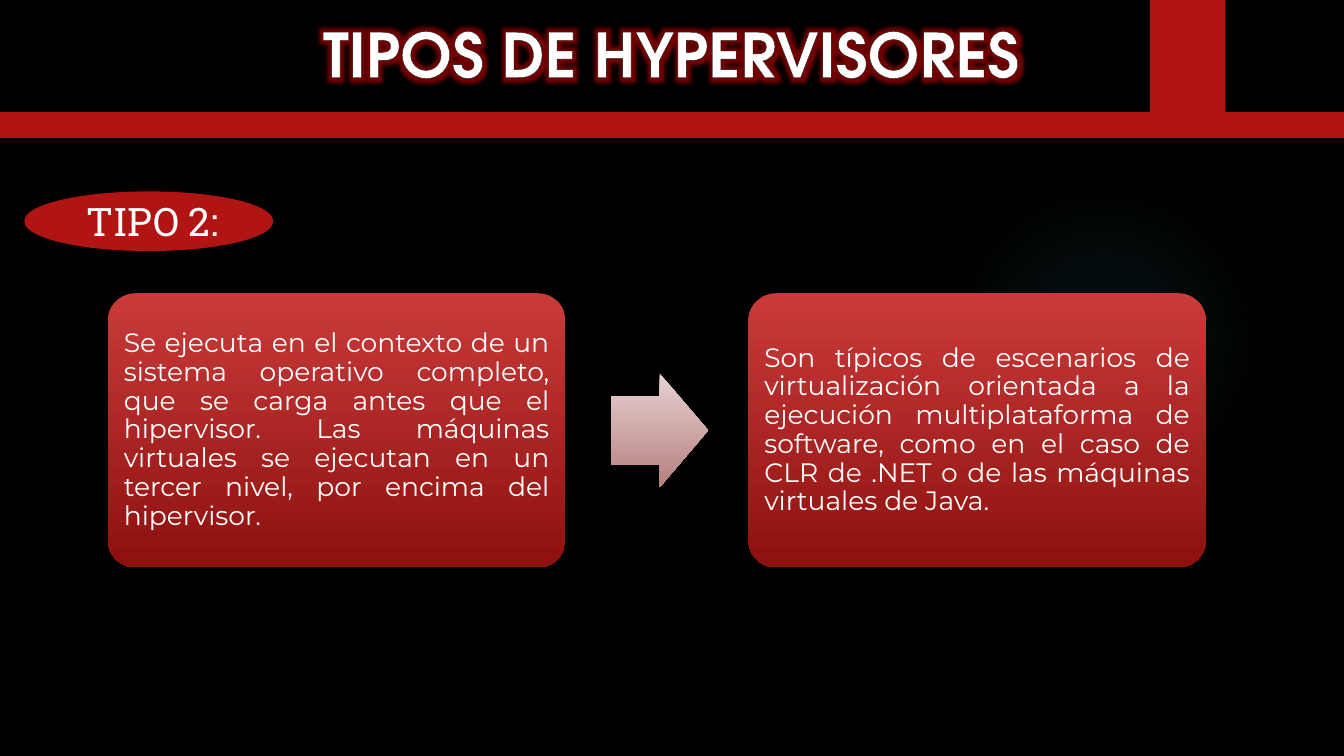
from lxml import etree
from pptx import Presentation
from pptx.dml.color import RGBColor
from pptx.enum.shapes import MSO_SHAPE
from pptx.enum.text import MSO_ANCHOR, MSO_AUTO_SIZE, PP_ALIGN
from pptx.oxml import parse_xml
from pptx.oxml.ns import nsdecls, qn
from pptx.util import Cm, Pt

RECTANGLE, ELLIPSE = MSO_SHAPE.RECTANGLE, MSO_SHAPE.OVAL
CARD, ARROW = MSO_SHAPE.ROUNDED_RECTANGLE, MSO_SHAPE.RIGHT_ARROW
CENTER, JUSTIFY = PP_ALIGN.CENTER, PP_ALIGN.JUSTIFY
TOP, MIDDLE = MSO_ANCHOR.TOP, MSO_ANCHOR.MIDDLE
NO_AUTOFIT = MSO_AUTO_SIZE.NONE

BLACK = RGBColor(0x00, 0x00, 0x00)
WHITE = RGBColor(0xFF, 0xFF, 0xFF)
RED = RGBColor(0xB0, 0x15, 0x13)
OUTLINE = RGBColor(0x15, 0x15, 0x15)
GLOW = RGBColor(0xC0, 0x00, 0x00)
HALO = RGBColor(0x50, 0xB9, 0xC1)
CARD_TOP, CARD_BOTTOM = RGBColor(0xC9, 0x3B, 0x3A), RGBColor(0x8D, 0x11, 0x0F)
ARROW_TOP, ARROW_BOTTOM = RGBColor(0xE8, 0xD2, 0xD1), RGBColor(0xB5, 0x7F, 0x7F)

CARD_TEXTS = [
    "Se ejecuta en el contexto de un sistema operativo completo, que se carga "
    "antes que el hipervisor. Las máquinas virtuales se ejecutan en un tercer "
    "nivel, por encima del hipervisor.",
    "Son típicos de escenarios de virtualización orientada a la ejecución "
    "multiplataforma de software, como en el caso de CLR de .NET o de las "
    "máquinas virtuales de Java.",
]


def add_plain_shape(slide, kind, left, top, width, height, color=RED):
    """Add a flat shape without line or shadow; lengths are in centimetres."""
    shape = slide.shapes.add_shape(kind, Cm(left), Cm(top), Cm(width), Cm(height))
    shape.shadow.inherit = False
    shape.fill.solid()
    shape.fill.fore_color.rgb = color
    shape.line.fill.background()
    return shape


def fill_downwards(shape, top_color, bottom_color):
    """Fill a shape with a gradient that runs from top to bottom."""
    shape.fill.gradient()
    shape.fill.gradient_angle = 270
    for stop, position, color in zip(
        shape.fill.gradient_stops, (0, 1), (top_color, bottom_color)
    ):
        stop.position = position
        stop.color.rgb = color


def fill_halo(shape, color, stops):
    """Fill a shape with a radial gradient of (position, opacity) percentages."""
    shape.fill.gradient()
    gradient = shape.element.spPr.find(qn("a:gradFill"))
    for child in list(gradient):
        gradient.remove(child)
    stop_list = etree.SubElement(gradient, qn("a:gsLst"))
    for position, opacity in stops:
        stop = etree.SubElement(stop_list, qn("a:gs"), pos=str(position * 1000))
        tint = etree.SubElement(stop, qn("a:srgbClr"), val=str(color))
        etree.SubElement(tint, qn("a:alpha"), val=str(opacity * 1000))
    circle = etree.SubElement(gradient, qn("a:path"), path="circle")
    sides = dict.fromkeys("ltrb", "50000")
    etree.SubElement(circle, qn("a:fillToRect"), **sides)


def format_text(paragraph, font_name, size, alignment):
    """Set the white font and the alignment of a paragraph."""
    paragraph.alignment = alignment
    paragraph.font.name = font_name
    paragraph.font.size = Pt(size)
    paragraph.font.color.rgb = WHITE


def add_backdrop(slide, width):
    """Paint the black background, the halo, the tab and the band."""
    slide.background.fill.solid()
    slide.background.fill.fore_color.rgb = BLACK
    halo = add_plain_shape(slide, ELLIPSE, 23.9, 4.65, 7.82, 7.82)
    fill_halo(halo, HALO, [(0, 7), (36, 6), (69, 0)])
    add_plain_shape(slide, RECTANGLE, 28.98, 0, 1.9, 3.18)
    band = add_plain_shape(slide, RECTANGLE, 0, 2.84, width, 0.61)
    band.line.color.rgb = RED
    band.line.width = Pt(1.5)


def add_title(slide, left, top, width, height):
    """Place the title with its outline and red glow."""
    title = slide.shapes.title
    title.left, title.top = Cm(left), Cm(top)
    title.width, title.height = Cm(width), Cm(height)
    frame = title.text_frame
    frame.auto_size = NO_AUTOFIT
    frame.vertical_anchor = TOP
    paragraph = frame.paragraphs[0]
    span = paragraph.add_run()
    span.text = "TIPOS DE HYPERVISORES"
    format_text(paragraph, "TeX Gyre Adventor", 44, CENTER)
    paragraph.font.bold = True
    span.font.color.rgb = WHITE
    properties = span.font.fill._xPr
    properties.insert(0, parse_xml(
        f'<a:ln {nsdecls("a")} w="19050"><a:solidFill>'
        f'<a:srgbClr val="{OUTLINE}"/></a:solidFill></a:ln>'))
    properties.append(parse_xml(
        f'<a:effectLst {nsdecls("a")}><a:glow rad="139700">'
        f'<a:srgbClr val="{GLOW}"><a:alpha val="60000"/></a:srgbClr>'
        '</a:glow></a:effectLst>'))


def add_type_label(slide, left, top, width, height):
    """Add the oval that names the hypervisor type."""
    label = add_plain_shape(slide, ELLIPSE, left, top, width, height)
    label.line.color.rgb = RED
    label.line.width = Pt(1.5)
    frame = label.text_frame
    frame.word_wrap = True
    frame.vertical_anchor = MIDDLE
    frame.margin_left = Cm(0.43)
    frame.text = "TIPO 2:"
    format_text(frame.paragraphs[0], "Roboto Slab", 28, CENTER)


def add_card(slide, text, left, top, width, height):
    """Add a rounded card with justified text."""
    card = add_plain_shape(slide, CARD, left, top, width, height)
    card.adjustments[0] = 0.1
    fill_downwards(card, CARD_TOP, CARD_BOTTOM)
    frame = card.text_frame
    frame.word_wrap = True
    frame.vertical_anchor = MIDDLE
    frame.margin_left = frame.margin_right = Cm(0.2)
    frame.margin_top = frame.margin_bottom = Cm(0.2)
    frame.text = text
    format_text(frame.paragraphs[0], "Montserrat", 19, JUSTIFY)
    frame.paragraphs[0].line_spacing = 0.9


def add_process(slide, left, top, card_width, height):
    """Lay out the cards in a row with an arrow after each but the last."""
    arrow_width, arrow_height = 0.212 * card_width, 2.87
    for index, text in enumerate(CARD_TEXTS):
        card_left = left + index * 1.4 * card_width
        add_card(slide, text, card_left, top, card_width, height)
        if index < len(CARD_TEXTS) - 1:
            arrow = add_plain_shape(
                slide, ARROW, card_left + 1.1 * card_width,
                top + (height - arrow_height) / 2, arrow_width, arrow_height)
            arrow.adjustments[0] = 0.6
            arrow.adjustments[1] = 0.5
            fill_downwards(arrow, ARROW_TOP, ARROW_BOTTOM)


def main():
    """Build the slide and save the deck."""
    deck = Presentation()
    deck.slide_width, deck.slide_height = Cm(33.87), Cm(19.05)
    page = deck.slides.add_slide(deck.slide_layouts[5])
    add_backdrop(page, 33.87)
    add_title(page, 0.51, 0.28, 32.82, 2.13)
    add_type_label(page, 0.64, 4.85, 6.22, 1.45)
    add_process(page, 2.72, 7.39, 11.53, 6.91)
    deck.save("out.pptx")


if __name__ == "__main__":
    main()
